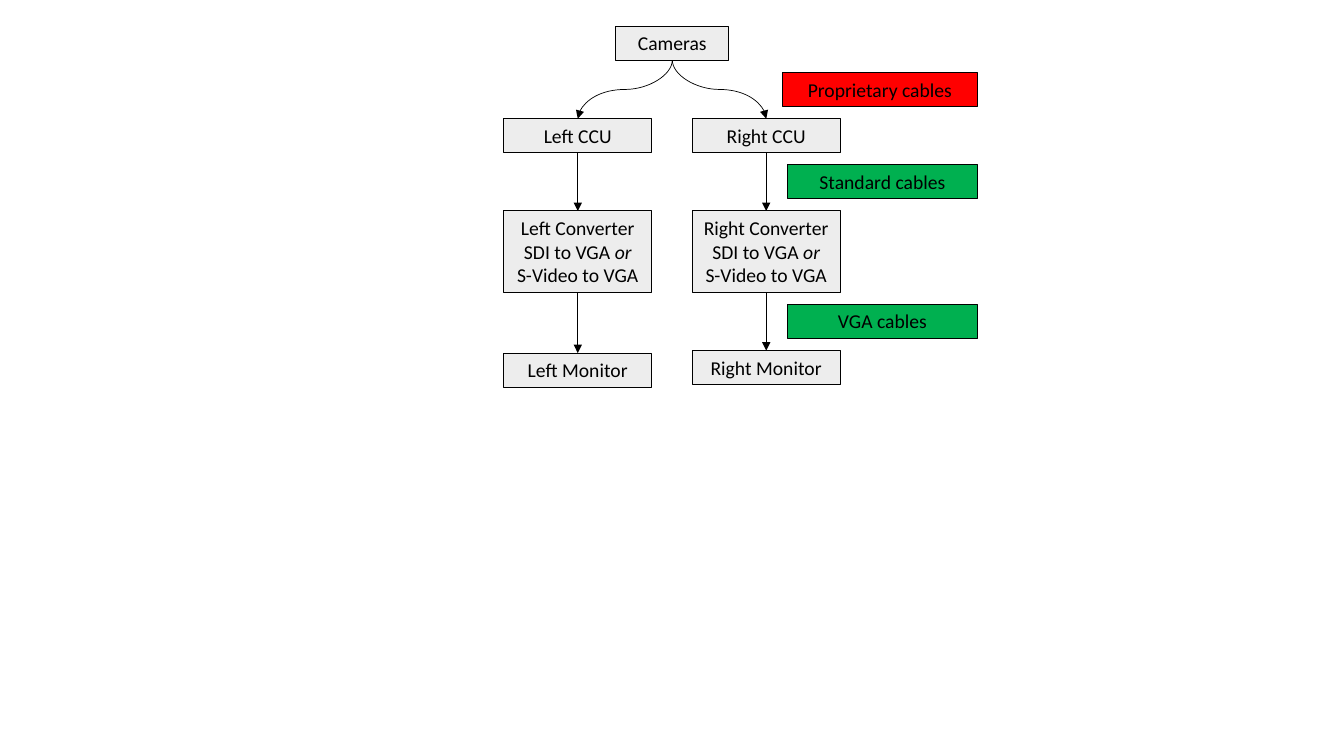
from lxml import etree
from pptx import Presentation
from pptx import util as u
from pptx.dml.color import RGBColor
from pptx.enum import shapes, text
from pptx.oxml.ns import qn

GREY, RED, GREEN, BLACK = "EDEDED", "FF0000", "00B050", "000000"
LINE_H, BOX_W = 24.3, 106
CABLE_RIGHT = 698.2
CAMERAS = ("Cameras", 480.2, 18.7, 81)

# Each side: name, centre, then top of CCU, converter and monitor
SIDES = [("Left", 412.7, (84.8, 150.7, 252.2)),
         ("Right", 547.3, (84.8, 150.7, 250.4))]
STAGES = [("CCU",), ("Converter", "SDI to VGA *or*", "S-Video to VGA"), ("Monitor",)]

# Cable label, top, width, colour
CABLES = [("Proprietary cables", 51.8, 139.3, RED),
          ("Standard cables", 117.5, 135.7, GREEN),
          ("VGA cables", 217.4, 135.7, GREEN)]


def rgb(color):
    """Turn a hex string into a colour."""
    return RGBColor.from_string(color)


def add_box(slide, lines, center, top, width, fill=GREY):
    """Add a bordered box; text between asterisks is italic."""
    height = LINE_H + 17 * (len(lines) - 1)
    box = slide.shapes.add_shape(shapes.MSO_SHAPE.RECTANGLE, u.Pt(center - width / 2),
                                 u.Pt(top), u.Pt(width), u.Pt(height))
    box.shadow.inherit = False
    box.fill.solid()
    box.fill.fore_color.rgb = rgb(fill)
    box.line.color.rgb = rgb(BLACK)
    box.line.width = u.Pt(0.75)
    frame = box.text_frame
    frame.word_wrap = True
    frame.vertical_anchor = text.MSO_ANCHOR.TOP
    for i, line in enumerate(lines):
        paragraph = frame.paragraphs[0] if i == 0 else frame.add_paragraph()
        paragraph.alignment = text.PP_ALIGN.CENTER
        for j, part in enumerate(line.split("*")):
            if part:
                run = paragraph.add_run()
                run.text = part
                run.font.name, run.font.size = "Calibri", u.Pt(14)
                run.font.color.rgb = rgb(BLACK)
                run.font.italic = j % 2 == 1
    return box


def add_arrow(slide, source, target):
    """Join the bottom of source to the top of target with a curved arrow."""
    x1, y1 = source.left + source.width // 2, source.top + source.height
    x2, y2 = target.left + target.width // 2, target.top
    mid_x, mid_y = (x1 + x2) // 2, (y1 + y2) // 2
    drop, spread = (y2 - y1) // 2, abs(x2 - x1) // 2
    # The curve starts sideways, so it is laid flat and then turned to run downwards
    rightward = x2 > x1
    reach = drop if rightward else -drop
    arrow = slide.shapes.add_connector(shapes.MSO_CONNECTOR.CURVE, mid_x + reach,
                                       mid_y - spread, mid_x - reach, mid_y + spread)
    arrow.line.color.rgb = rgb(BLACK)
    arrow.line.width = u.Pt(0.5)
    properties = arrow._element.spPr
    properties.find(qn("a:xfrm")).set("rot", str((270 if rightward else 90) * 60000))
    etree.SubElement(properties.find(qn("a:ln")), qn("a:tailEnd"), type="triangle")
    etree.SubElement(properties, qn("a:effectLst"))


prs = Presentation()
prs.slide_width, prs.slide_height = u.Pt(960), u.Pt(540)
slide = prs.slides.add_slide(prs.slide_layouts[6])

name, center, top, width = CAMERAS
cameras = add_box(slide, [name], center, top, width)
for side, center, tops in SIDES:
    previous = cameras
    for (stage, *details), top in zip(STAGES, tops):
        box = add_box(slide, [f"{side} {stage}", *details], center, top, BOX_W)
        add_arrow(slide, previous, box)
        previous = box

for label, top, width, fill in CABLES:
    add_box(slide, [label], CABLE_RIGHT - width / 2, top, width, fill)

prs.save("out.pptx")
